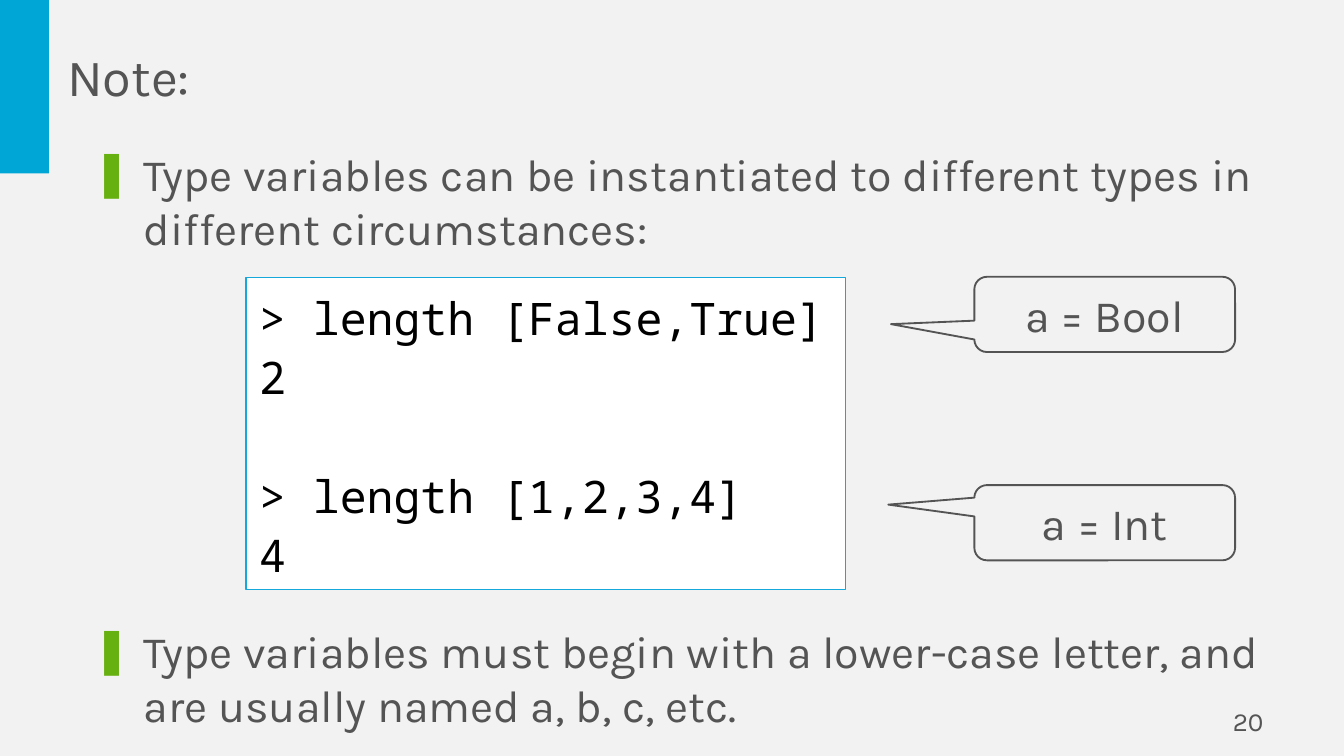
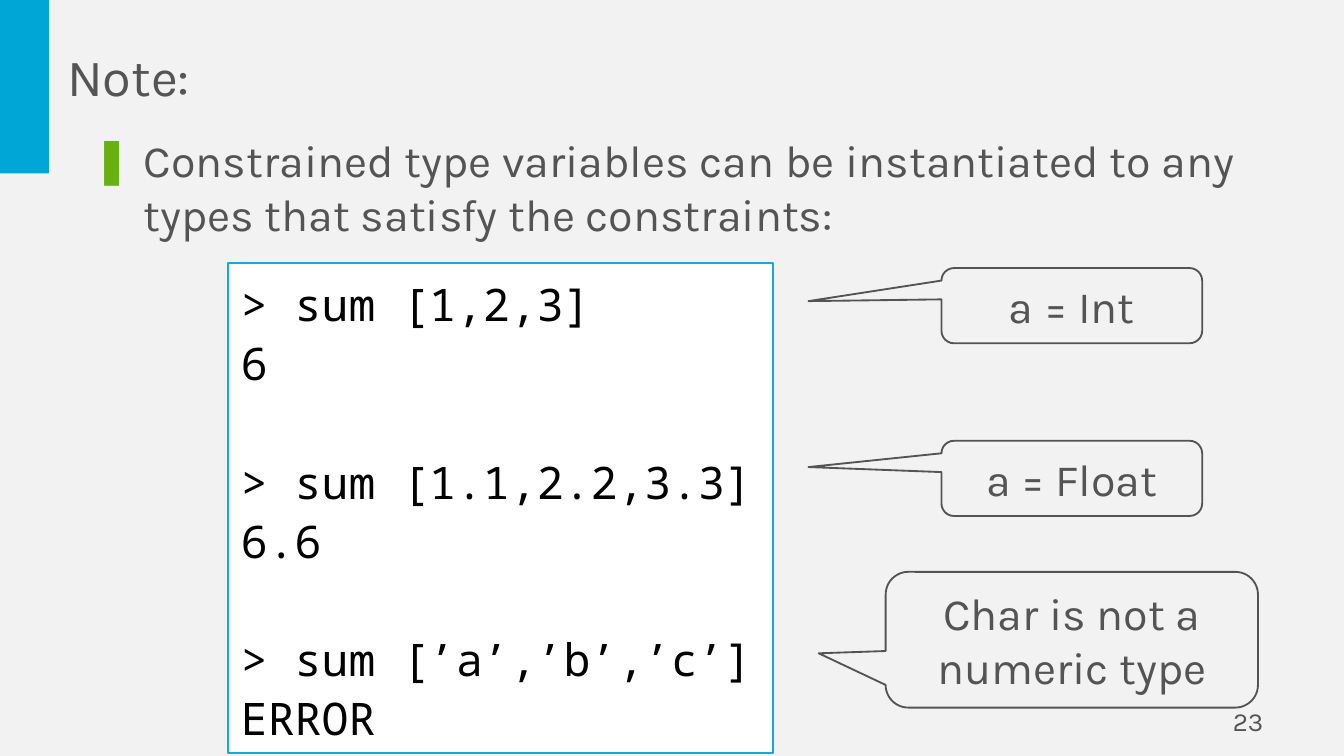
from pptx import Presentation
from pptx.dml.color import RGBColor
from pptx.enum.shapes import MSO_SHAPE
from pptx.enum.text import MSO_ANCHOR, MSO_AUTO_SIZE, PP_ALIGN
from pptx.oxml.ns import qn
from pptx.util import Inches, Pt
from lxml import etree

LEFT, CENTER, RIGHT = PP_ALIGN.LEFT, PP_ALIGN.CENTER, PP_ALIGN.RIGHT
TOP, MIDDLE = MSO_ANCHOR.TOP, MSO_ANCHOR.MIDDLE
FIXED, GROW = MSO_AUTO_SIZE.NONE, MSO_AUTO_SIZE.SHAPE_TO_FIT_TEXT
RECTANGLE, CALLOUT = MSO_SHAPE.RECTANGLE, MSO_SHAPE.ROUNDED_RECTANGULAR_CALLOUT

PAPER = RGBColor(0xF2, 0xF2, 0xF2)
BAND = RGBColor(0x00, 0xA6, 0xD6)
FRAME = RGBColor(0x15, 0xA8, 0xDB)
GREEN = RGBColor(0x66, 0xB0, 0x10)
GREY = RGBColor(0x54, 0x54, 0x54)
WHITE = RGBColor(0xFF, 0xFF, 0xFF)
BLACK = RGBColor(0x00, 0x00, 0x00)

BODY_FONT, CODE_FONT = "Karla", "Noto Sans Mono"
CELL = Inches(0.1)
COLUMNS, ROWS = 100, 56.25
BAND_BOX = (0, 0, 3.65, 12.9)
TITLE_BOX = (4, 2.75, 11.5, 5.7)
NUMBER_BOX = (71.7, 52.15, 23.3, 3)
BULLET_LEFT, BULLET_WIDTH = 5.9, 90.1
CALLOUT_SIZE = (19.4, 5.6)
BULLET_INDENT = Inches(0.38)
CODE_GAP = Pt(31.7)


def grid(box):
    """Turn grid columns and rows into slide lengths."""
    return [round(length * CELL) for length in box]


def place(shape, box):
    """Move a placeholder into its grid box."""
    shape.left, shape.top, shape.width, shape.height = grid(box)


def format_text(shape, size=24, font=BODY_FONT, color=GREY, align=LEFT,
                anchor=MIDDLE, wrap=True, fit=GROW):
    """Format the frame, paragraphs and runs of a shape."""
    frame = shape.text_frame
    frame.word_wrap = wrap
    frame.auto_size = fit
    frame.vertical_anchor = anchor
    for para in frame.paragraphs:
        para.alignment = align
        for span in para.runs:
            span.font.size = Pt(size)
            span.font.name = font
            span.font.color.rgb = color


def add_panel(page, kind, box, fill=None, line=None, weight=1):
    """Add a flat preset shape with an optional fill and outline."""
    panel = page.shapes.add_shape(kind, *grid(box))
    panel.shadow.inherit = False
    if fill is None:
        panel.fill.background()
    else:
        panel.fill.solid()
        panel.fill.fore_color.rgb = fill
    if line is None:
        panel.line.fill.background()
    else:
        panel.line.color.rgb = line
        panel.line.width = Pt(weight)
    return panel


def fill_bullet(body, text, box):
    """Write one bulleted statement into a body placeholder."""
    place(body, box)
    body.text_frame.text = text
    format_text(body, anchor=TOP, fit=FIXED)
    para = body.text_frame.paragraphs[0]
    para.space_before = Pt(4.8)
    properties = para._p.get_or_add_pPr()
    properties.set("marL", str(BULLET_INDENT))
    properties.set("indent", str(-BULLET_INDENT))
    color = etree.SubElement(properties, qn("a:buClr"))
    etree.SubElement(color, qn("a:srgbClr")).set("val", str(GREEN))
    etree.SubElement(properties, qn("a:buChar")).set("char", "❚")


def add_code(page, box, session, weight):
    """Add a framed session of prompts and answers with a gap between pairs."""
    panel = add_panel(page, RECTANGLE, box, WHITE, FRAME, weight)
    panel.text_frame.text = "\n".join(line for pair in session for line in pair)
    format_text(panel, font=CODE_FONT, color=BLACK, wrap=False)
    for index, para in enumerate(panel.text_frame.paragraphs):
        para.line_spacing = 1.1
        if index and index % 2 == 0:
            para.space_before = CODE_GAP


def add_callout(page, text, corner, tip, size=CALLOUT_SIZE):
    """Add a rounded callout whose tip is given as shares of its size."""
    callout = add_panel(page, CALLOUT, (*corner, *size), line=GREY)
    callout.adjustments[0], callout.adjustments[1] = tip
    callout.text_frame.text = text
    format_text(callout, align=CENTER)


def add_note_page(deck, layout, number, bullets):
    """Add a page with the band, title, bullets and page number."""
    page = deck.slides.add_slide(deck.slide_layouts.get_by_name(layout))
    add_panel(page, RECTANGLE, BAND_BOX, BAND)
    title, *bodies = page.placeholders
    place(title, TITLE_BOX)
    title.text_frame.text = "Note:"
    format_text(title, size=28, wrap=False)
    for body, (text, top, height) in zip(bodies, bullets):
        fill_bullet(body, text, (BULLET_LEFT, top, BULLET_WIDTH, height))
    footer = page.shapes.add_textbox(*grid(NUMBER_BOX))
    footer.text_frame.text = number
    format_text(footer, size=14, align=RIGHT, fit=FIXED)
    return page


def build_variables_page(deck):
    """Show type variables instantiated to different types."""
    page = add_note_page(deck, "Two Content", "20", [
        ("Type variables can be instantiated to different types in "
         "different circumstances:", 10.4, 8.8),
        ("Type variables must begin with a lower-case letter, and "
         "are usually named a, b, c, etc.", 45.9, 7.8),
    ])
    add_code(page, (18.3, 20.65, 44.6, 23.2), [
        ("> length [False,True]", "2"),
        ("> length [1,2,3,4]", "4"),
    ], 0.75)
    add_callout(page, "a = Bool", (72.5, 20.6), (-0.82, 0.13))
    add_callout(page, "a = Int", (72.5, 36.1), (-0.83, -0.24))


def build_constraints_page(deck):
    """Show constrained type variables and a type that fails."""
    page = add_note_page(deck, "Title and Content", "23", [
        ("Constrained type variables can be instantiated to any "
         "types that satisfy the constraints:", 9.4, 8.8),
    ])
    add_code(page, (16.95, 19.55, 40.6, 36.5), [
        ("> sum [1,2,3]", "6"),
        ("> sum [1.1,2.2,3.3]", "6.6"),
        ("> sum [’a’,’b’,’c’]", "ERROR"),
    ], 1)
    add_callout(page, "Char is not a numeric type", (65.9, 42.55),
                (-0.68, 0.1), (27.7, 10.1))
    add_callout(page, "a = Int", (70.05, 19.95), (-1.01, -0.06))
    add_callout(page, "a = Float", (70.05, 32.8), (-1.01, -0.15))


def main():
    """Build and save the deck."""
    deck = Presentation()
    deck.slide_width, deck.slide_height = grid((COLUMNS, ROWS))
    background = deck.slide_master.background.fill
    background.solid()
    background.fore_color.rgb = PAPER
    build_variables_page(deck)
    build_constraints_page(deck)
    deck.save("out.pptx")


if __name__ == "__main__":
    main()
